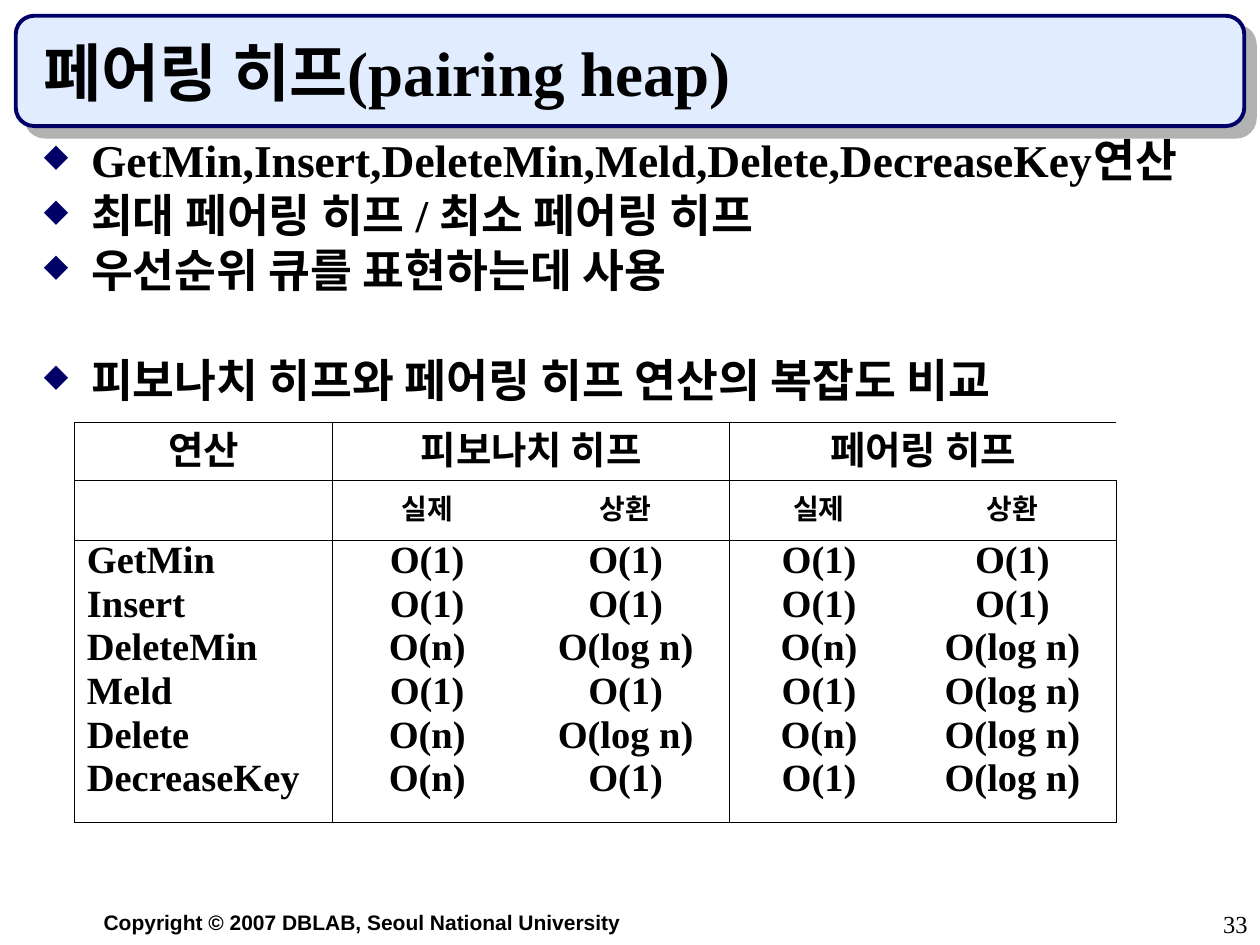
"""Build the pairing heap slide with its operation complexity table."""
import pptx
import pptx.chart.data
import pptx.dml.color
import pptx.enum.shapes
import pptx.enum.text
import pptx.oxml
import pptx.oxml.ns
import pptx.util
from lxml import etree

Pt = pptx.util.Pt
RGBColor = pptx.dml.color.RGBColor
ALIGN = pptx.enum.text.PP_ALIGN
ANCHOR = pptx.enum.text.MSO_ANCHOR
qn = pptx.oxml.ns.qn
NAMESPACE = pptx.oxml.ns.nsdecls("a")

BLACK = RGBColor(0x00, 0x00, 0x00)
NAVY = RGBColor(0x00, 0x00, 0x66)
PALE_BLUE = RGBColor(0xE1, 0xEC, 0xFF)
GRAY = RGBColor(0xB2, 0xB2, 0xB2)
SERIF = "Times New Roman"


def format_paragraph(paragraph, size, align=ALIGN.LEFT, font="Times New Roman", bold=True):
    paragraph.alignment = align
    for run in paragraph.runs:
        run.font.size = Pt(size)
        run.font.name = font
        run.font.bold = bold
        run.font.color.rgb = BLACK


def add_text(left, top, width, height, lines, size, **style):
    text_frame = slide.shapes.add_textbox(Pt(left), Pt(top), Pt(width), Pt(height)).text_frame
    text_frame.word_wrap = True
    text_frame.text = "\n".join(lines)
    for paragraph in text_frame.paragraphs:
        format_paragraph(paragraph, size, **style)
    return text_frame


presentation = pptx.Presentation()
presentation.slide_width = Pt(720)
presentation.slide_height = Pt(540)
slide = presentation.slides.add_slide(presentation.slide_layouts[6])

banner = slide.shapes.add_shape(
    pptx.enum.shapes.MSO_SHAPE.ROUNDED_RECTANGLE, Pt(9), Pt(9), Pt(702), Pt(63))
banner.shadow.inherit = False
banner.fill.solid()
banner.fill.fore_color.rgb = PALE_BLUE
banner.line.color.rgb = NAVY
banner.line.width = Pt(2.25)
banner_effects = banner._element.spPr.find(qn("a:effectLst"))
banner_effects.append(etree.fromstring(
    f'<a:outerShdw {NAMESPACE} dist="{Pt(8.5)}" dir="2700000" algn="ctr" rotWithShape="0">'
    f'<a:srgbClr val="{GRAY}"/></a:outerShdw>'))

title = add_text(18, 18, 678, 48, ["페어링 히프(pairing heap)"], 36)
title.vertical_anchor = ANCHOR.BOTTOM

points = [
    "GetMin,Insert,DeleteMin,Meld,Delete,DecreaseKey연산",
    "최대 페어링 히프 / 최소 페어링 히프",
    "우선순위 큐를 표현하는데 사용",
    "피보나치 히프와 페어링 히프 연산의 복잡도 비교",
]
body = add_text(18, 78, 678, 420, points, 26)
for paragraph, space in zip(body.paragraphs, [0, 6.5, 6.5, 38]):
    paragraph.line_spacing = 0.8
    paragraph.space_before = Pt(space)
    properties = paragraph._p.get_or_add_pPr()
    properties.set("marL", str(Pt(27)))
    properties.set("indent", str(Pt(-27)))
    for bullet in (f'<a:buClr {NAMESPACE}><a:srgbClr val="{NAVY}"/></a:buClr>',
                   f'<a:buSzPct {NAMESPACE} val="70000"/>',
                   f'<a:buChar {NAMESPACE} char="◆"/>'):
        properties.append(etree.fromstring(bullet))

operations = [
    ("GetMin", "O(1)", "O(1)", "O(1)", "O(1)"),
    ("Insert", "O(1)", "O(1)", "O(1)", "O(1)"),
    ("DeleteMin", "O(n)", "O(log n)", "O(n)", "O(log n)"),
    ("Meld", "O(1)", "O(1)", "O(1)", "O(log n)"),
    ("Delete", "O(n)", "O(log n)", "O(n)", "O(log n)"),
    ("DecreaseKey", "O(n)", "O(1)", "O(1)", "O(log n)"),
]
rows = [
    ("연산", "피보나치 히프", "", "페어링 히프", ""),
    ("", "실제", "상환", "실제", "상환"),
    ["\n".join(column) for column in zip(*operations)],
]
column_widths = [147.5, 113.5, 113.5, 102, 119]
column_widths = [147.6, 108, 118.8, 102.24, 118.8]
row_heights = [33.2, 33.8, 161.5]
table = slide.shapes.add_table(
    3, 5, Pt(42.5), Pt(241.5), Pt(sum(column_widths)), Pt(sum(row_heights))).table
table.first_row = False
table.horz_banding = False
for column, width in zip(table.columns, column_widths):
    column.width = Pt(width)
for row, height in zip(table.rows, row_heights):
    row.height = Pt(height)
for first in (1, 3):
    table.cell(0, first).merge(table.cell(0, first + 1))

for row_index, row in enumerate(rows):
    for column_index, text in enumerate(row):
        cell = table.cell(row_index, column_index)
        cell.fill.background()
        if text:
            cell.text_frame.text = text
        if row_index == 1:
            cell.vertical_anchor = ANCHOR.MIDDLE
        left_aligned = row_index == 2 and column_index == 0
        for index, paragraph in enumerate(cell.text_frame.paragraphs):
            format_paragraph(paragraph, 16 if row_index == 1 else 22,
                             ALIGN.LEFT if left_aligned else ALIGN.CENTER)
            paragraph.line_spacing = 0.8
            paragraph.space_before = Pt(5.5 if index else 0)
        inner_edges = {2: "lnL", 4: "lnL", 1: "lnR", 3: "lnR"}
        cell_properties = cell._tc.get_or_add_tcPr()
        for position, edge in enumerate(("lnL", "lnR", "lnT", "lnB")):
            hidden = inner_edges.get(column_index) == edge
            paint = "<a:noFill/>" if hidden else f'<a:solidFill><a:srgbClr val="{BLACK}"/></a:solidFill>'
            cell_properties.insert(position, etree.fromstring(
                f'<a:{edge} {NAMESPACE} w="{Pt(0.45)}">{paint}</a:{edge}>'))

add_text(18, 516, 378, 22, ["Copyright © 2007 DBLAB, Seoul National University"], 12,
         align=ALIGN.CENTER, font="Arial")
add_text(570, 516, 150, 24, ["33"], 14, align=ALIGN.RIGHT, bold=False)

presentation.save("out.pptx")
